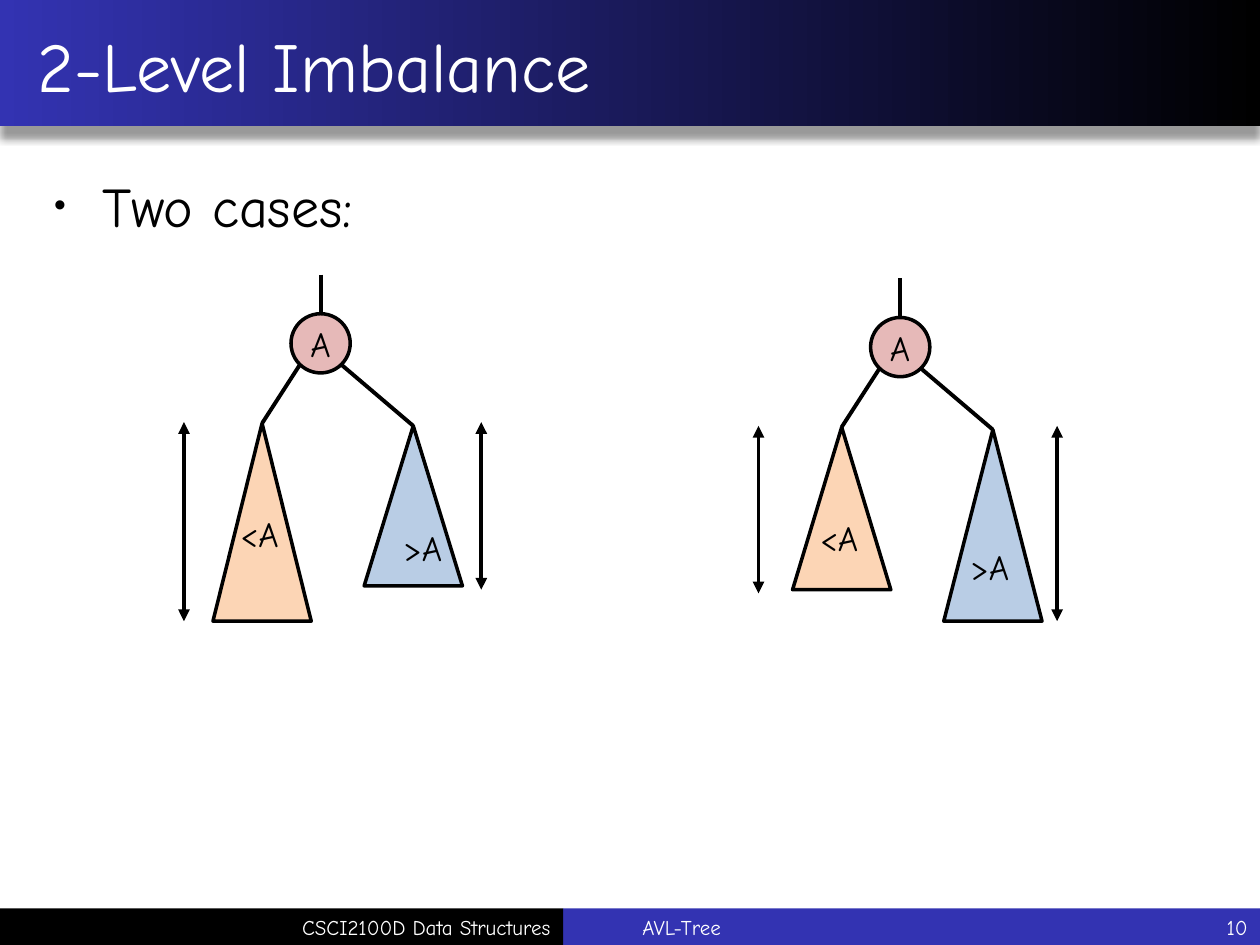
import pptx
import pptx.util
import pptx.dml.color
import pptx.enum.shapes
import pptx.enum.text
import pptx.oxml
from pptx.oxml.ns import nsdecls, qn

COLUMNS, ROWS = 100, 75
ALIGN = pptx.enum.text.PP_ALIGN
ANCHOR = pptx.enum.text.MSO_ANCHOR
SHAPE = pptx.enum.shapes.MSO_SHAPE
BLACK, WHITE, BLUE = "000000", "FFFFFF", "3333B2"
ROSE, PEACH, SKY = "E6B9B8", "FCD5B5", "B9CDE5"


def color(value):
    return pptx.dml.color.RGBColor.from_string(value)


def element(xml):
    """Build one drawing element; a space must follow its tag name."""
    return pptx.oxml.parse_xml(xml.replace(" ", f" {nsdecls('a')} ", 1))


class SlideBuilder:
    font_name = "Comic Neue"
    outline = 2
    line_width = 2.25

    def __init__(self, presentation):
        self.column = presentation.slide_width / COLUMNS
        self.row = presentation.slide_height / ROWS
        self.slide = presentation.slides.add_slide(presentation.slide_layouts[1])

    def box(self, left, top, width, height):
        """Turn columns and rows into lengths."""
        return [round(left * self.column), round(top * self.row),
                round(width * self.column), round(height * self.row)]

    def add_text(self, shape, text, size, text_color, align=ALIGN.LEFT, anchor=ANCHOR.MIDDLE):
        frame = shape.text_frame
        frame.word_wrap = True
        frame.auto_size = pptx.enum.text.MSO_AUTO_SIZE.NONE
        frame.vertical_anchor = anchor
        paragraph = frame.paragraphs[0]
        paragraph.alignment = align
        run = paragraph.add_run()
        run.text = text
        run.font.size = pptx.util.Pt(size)
        run.font.name = self.font_name
        run.font.color.rgb = color(text_color)
        return paragraph

    def placeholder(self, index, place, text, size, text_color, anchor, margin, indent):
        """Fill a template placeholder and bring it in front of the bands."""
        shape = self.slide.placeholders[index]
        shape.left, shape.top, shape.width, shape.height = self.box(*place)
        self.slide.shapes._spTree.append(shape._element)
        paragraph = self.add_text(shape, text, size, text_color, anchor=anchor)
        paragraph.space_before = pptx.util.Pt(0)
        properties = paragraph._p.get_or_add_pPr()
        properties.set("marL", str(round(margin * self.column)))
        properties.set("indent", str(round(indent * self.column)))
        return properties

    def title(self, text, place):
        self.placeholder(0, place, text, 40, WHITE, ANCHOR.MIDDLE, 2, 0)

    def bullet(self, text, place):
        properties = self.placeholder(1, place, text, 32, BLACK, ANCHOR.TOP, 3.8, -3.8)
        properties.append(element('<a:buSzPct val="60000"/>'))
        properties.append(element('<a:buChar char="•"/>'))

    def shape(self, kind, place, fill, line=None):
        shape = self.slide.shapes.add_shape(kind, *self.box(*place))
        shape.shadow.inherit = False
        shape.fill.solid()
        shape.fill.fore_color.rgb = color(fill)
        if line:
            shape.line.color.rgb = color(line)
            shape.line.width = pptx.util.Pt(self.outline)
        else:
            shape.line.fill.background()
        return shape

    def title_band(self, place):
        band = self.shape(SHAPE.RECTANGLE, place, BLUE)
        band.fill.gradient()
        band.fill.gradient_angle = 180
        for stop, value in zip(band.fill.gradient_stops, (BLACK, BLUE)):
            stop.color.rgb = color(value)
        effects = band._element.spPr.find(qn("a:effectLst"))
        effects.append(element(
            '<a:outerShdw blurRad="50800" dist="88900" dir="5400000" rotWithShape="0">'
            '<a:srgbClr val="000000"><a:alpha val="40000"/></a:srgbClr></a:outerShdw>'))

    def text(self, text, place, size, text_color, align=ALIGN.LEFT, anchor=ANCHOR.MIDDLE):
        shape = self.slide.shapes.add_textbox(*self.box(*place))
        self.add_text(shape, text, size, text_color, align, anchor)

    def line(self, start, end, two_headed=False):
        connector = self.slide.shapes.add_connector(
            pptx.enum.shapes.MSO_CONNECTOR.STRAIGHT,
            *self.box(*start, *end))
        connector.line.color.rgb = color(BLACK)
        connector.line.width = pptx.util.Pt(self.line_width)
        if two_headed:
            for tag in ("headEnd", "tailEnd"):
                connector.line._get_or_add_ln().append(element(f'<a:{tag} type="triangle"/>'))
        connector._element.spPr.append(element("<a:effectLst />"))
        return connector

    def tree(self, left, top, subtrees):
        """Draw a root and its subtrees, placed from the root's corner."""
        diameter = 4.7
        middle = left + diameter / 2
        root = self.shape(SHAPE.OVAL, (left, top, diameter, diameter), ROSE, BLACK)
        frame = root.text_frame
        frame.margin_left = frame.margin_right = 0
        self.add_text(root, "A", 20, BLACK, ALIGN.CENTER)
        self.line((middle, top - 3.1), (middle, top)).end_connect(root, 0)

        sides = (("<A", PEACH, -6.2, 8.7, 0.7), (">A", SKY, 5.8, 8.9, 4))
        for side, subtree in zip(sides, subtrees):
            label, fill, offset, drop, edge = side
            bottom, (label_left, label_top), arrow_column, arrow_bottom = subtree
            apex = top + drop
            triangle = self.shape(SHAPE.ISOSCELES_TRIANGLE,
                                  (left + offset, apex, 7.8, bottom - apex), fill, BLACK)
            branch = self.line((left + edge, top + 4.05), (left + offset + 3.9, apex))
            branch.end_connect(triangle, 0)
            self.text(label, (label_left, label_top, 5.5, 4.4), 20, BLACK, anchor=ANCHOR.TOP)
            self.line((arrow_column, top + 8.6), (arrow_column, arrow_bottom), two_headed=True)


def main():
    presentation = pptx.Presentation()
    presentation.slide_width = pptx.util.Inches(10)
    presentation.slide_height = pptx.util.Inches(7.5)
    builder = SlideBuilder(presentation)

    footer_top, footer_height, split = 72.1, 2.9, 44.7
    builder.title_band((0, -0.1, COLUMNS, 10.1))
    builder.shape(SHAPE.RECTANGLE, (split, footer_top, COLUMNS - split, footer_height), BLUE)
    builder.shape(SHAPE.RECTANGLE, (0, footer_top, split, footer_height), BLACK)
    builder.title("2-Level Imbalance", (0, 0.2, COLUMNS, 9.8))
    builder.bullet("Two cases:", (3.3, 13.1, 91.7, 53.9))
    for text, left, width, align in (
            ("CSCI2100D Data Structures", 0.1, 44.6, ALIGN.RIGHT),
            ("AVL-Tree", 50, 44.1, ALIGN.LEFT),
            ("10", 87.5, 12.5, ALIGN.RIGHT)):
        builder.text(text, (left, footer_top, width, footer_height), 12, WHITE, align)

    # Each subtree: bottom, label corner, arrow column, arrow bottom.
    builder.tree(23.1, 24.9, ((49.3, (18.1, 40.2), 14.6, 49.3),
                              (46.5, (31, 41.3), 38.2, 46.8)))
    builder.tree(69.1, 25.2, ((46.8, (64.1, 40.5), 60.2, 47.1),
                              (49.3, (76, 42.8), 83.9, 49.3)))
    presentation.save("out.pptx")


if __name__ == "__main__":
    main()
